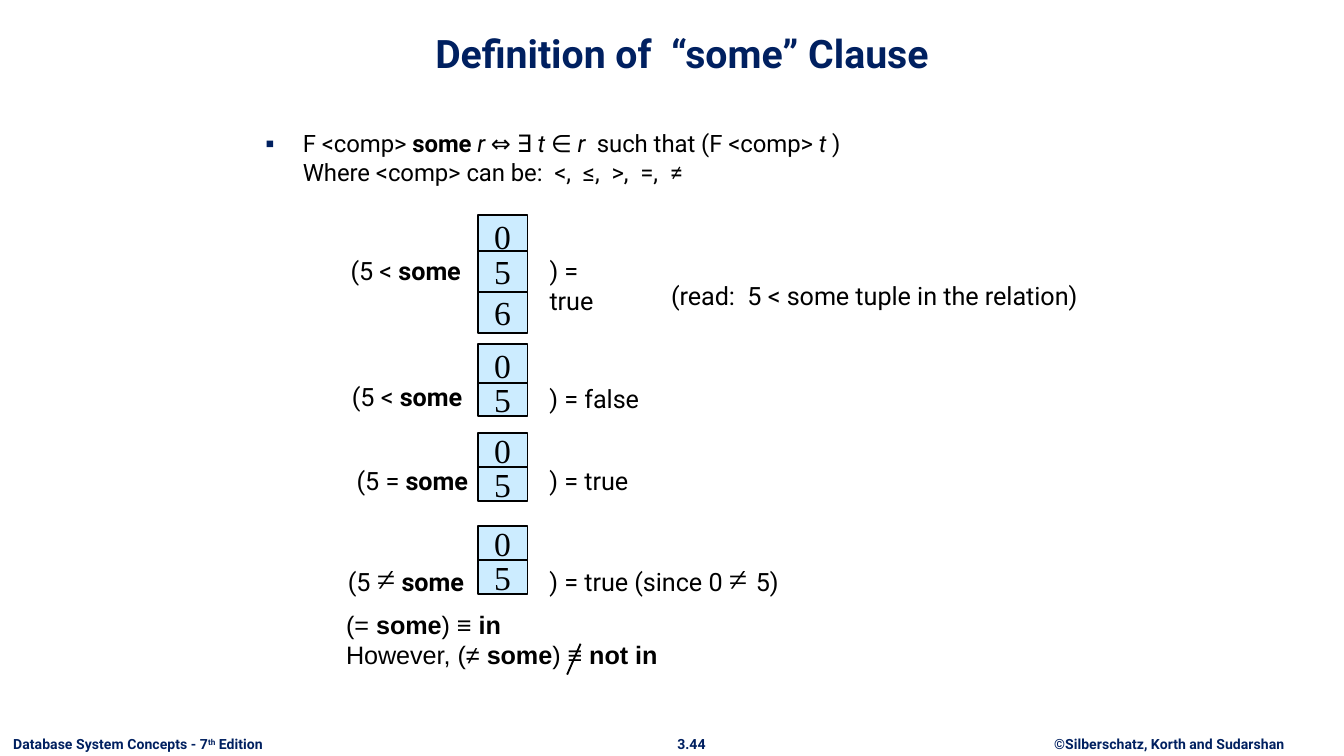
"""Builds the slide that defines the SQL "some" clause."""

from copy import deepcopy

from lxml import etree
from pptx import Presentation
from pptx.dml.color import RGBColor
from pptx.enum.shapes import MSO_CONNECTOR, MSO_SHAPE
from pptx.enum.text import MSO_ANCHOR, MSO_AUTO_SIZE, PP_ALIGN
from pptx.oxml.ns import qn
from pptx.util import Inches, Pt

LEFT, CENTER = PP_ALIGN.LEFT, PP_ALIGN.CENTER
TOP, MIDDLE, BOTTOM = MSO_ANCHOR.TOP, MSO_ANCHOR.MIDDLE, MSO_ANCHOR.BOTTOM
GROW = MSO_AUTO_SIZE.SHAPE_TO_FIT_TEXT
RECTANGLE, STRAIGHT = MSO_SHAPE.RECTANGLE, MSO_CONNECTOR.STRAIGHT

NAVY = RGBColor(0x00, 0x20, 0x60)
BLACK = RGBColor(0x00, 0x00, 0x00)
PALE_BLUE = RGBColor(0xCC, 0xEC, 0xFF)

SANS, SERIF, PLAIN = "Roboto", "Times New Roman", "Arial"
WIDTH = Inches(10)
HEIGHT = WIDTH * 9 // 16
UNIT = WIDTH / 100

TUPLE_LEFT, TUPLE_WIDTH = 35.55, 3.7
RESULT_LEFT = 39.9
FOOTER_TOP, FOOTER_HEIGHT = 54.25, 2.3
LABEL_HEIGHT, SYMBOL_LABEL_HEIGHT = 3.3, 4

RELATIONS = [
    [("0", 16, 3.1), ("5", 18.65, 3.1), ("6", 21.7, 3.1)],
    [("0", 25.6, 3.1), ("5", 28.5, 2.45)],
    [("0", 32.2, 2.55), ("5", 34.75, 2.55)],
    [("0", 39.15, 2.55), ("5", 41.65, 2.55)],
]

SOME = ("some", "b")
LABELS = [
    (25.1, 18.5, 11.1, LABEL_HEIGHT, [("(5 < ", ""), SOME]),
    (RESULT_LEFT, 18.5, 7.5, 5.6, [(") = true", "")]),
    (48.95, 20.4, 40, LABEL_HEIGHT, [("(read:  5 < some tuple in the relation)", "")]),
    (25.2, 27.9, 11.3, LABEL_HEIGHT, [("(5 < ", ""), SOME]),
    (RESULT_LEFT, 28.05, 10, LABEL_HEIGHT, [(") = false", "")]),
    (25.55, 34.15, 12.5, LABEL_HEIGHT, [("(5 = ", ""), SOME]),
    (RESULT_LEFT, 34.15, 10, LABEL_HEIGHT, [(") = true", "")]),
    (24.9, 41.05, 11.9, SYMBOL_LABEL_HEIGHT,
     [("(5 ", ""), ("≠", "symbol"), (" ", ""), SOME]),
    (RESULT_LEFT, 41.05, 20.6, SYMBOL_LABEL_HEIGHT,
     [(") = true (since 0 ", ""), ("≠ ", "symbol"), ("5)", "")]),
]

FOOTERS = [
    (0, 21.8, LEFT, [("Database System Concepts - 7", "b"), ("th", "b super"),
                     (" Edition", "b")]),
    (49.35, 4.2, CENTER, [("3.44", "b")]),
    (76.85, 20.3, CENTER, [("©Silberschatz, Korth and Sudarshan", "b")]),
]

DEFINITION = [
    [("F <comp> ", ""), ("some ", "b"), ("r ", "i"), ("⇔ ∃ ", ""), ("t ", "i"),
     ("∈", ""), (" r  ", "i"), ("such that (F <comp> ", ""), ("t ", "i"), (")", "")],
    [("Where <comp> can be:  <,  ≤,  >,  =,  ≠", "")],
]

EQUIVALENCES = [
    [("(= ", ""), SOME, (") ≡ ", ""), ("in", "b")],
    [("However, (≠ ", ""), SOME, (") ≡ ", ""), ("not in", "b")],
]


def grid(*cells):
    """Turn grid columns or rows into lengths."""
    return [round(cell * UNIT) for cell in cells]


def add_runs(paragraph, pieces, size, face=SANS, color=BLACK):
    """Append styled pieces of text to a paragraph."""
    for words, style in pieces:
        run = paragraph.add_run()
        run.text = words
        marks = style.split()
        run.font.name = SERIF if "symbol" in marks else face
        run.font.size = Pt(18 if "symbol" in marks else size)
        run.font.bold = "b" in marks
        run.font.italic = "i" in marks
        run.font.color.rgb = color
        if "super" in marks:
            run._r.get_or_add_rPr().set("baseline", "30000")


def add_text(slide, area, lines, size, face=SANS, color=BLACK, align=LEFT,
             anchor=TOP, wrap=True, grow=False):
    """Add a text box with one paragraph for each line of pieces."""
    frame = slide.shapes.add_textbox(*grid(*area)).text_frame
    frame.word_wrap = wrap
    frame.vertical_anchor = anchor
    if grow:
        frame.auto_size = GROW
    for index, pieces in enumerate(lines):
        paragraph = frame.add_paragraph() if index else frame.paragraphs[0]
        paragraph.alignment = align
        add_runs(paragraph, pieces, size, face, color)
    return frame


def add_definition(slide, area, lines, size):
    """Add the bulleted definition, its lines parted by a break."""
    paragraph = add_text(slide, area, lines[:1], size).paragraphs[0]
    properties = paragraph._p.get_or_add_pPr()
    indent, = grid(2.8)
    properties.set("marL", str(indent))
    properties.set("indent", str(-indent))
    bullet_color = etree.SubElement(properties, qn("a:buClr"))
    etree.SubElement(bullet_color, qn("a:srgbClr"), val=str(NAVY))
    etree.SubElement(properties, qn("a:buSzPct"), val="110000")
    etree.SubElement(properties, qn("a:buFont"), typeface=PLAIN)
    etree.SubElement(properties, qn("a:buChar"), char="▪")
    for pieces in lines[1:]:
        paragraph.add_line_break()
        line_break = paragraph._p.findall(qn("a:br"))[-1]
        line_break.append(deepcopy(paragraph.runs[0]._r.get_or_add_rPr()))
        add_runs(paragraph, pieces, size)


def add_tuple(slide, value, top, height):
    """Add one boxed value of a relation."""
    box = slide.shapes.add_shape(
        RECTANGLE, *grid(TUPLE_LEFT, top, TUPLE_WIDTH, height))
    box.shadow.inherit = False
    box.fill.solid()
    box.fill.fore_color.rgb = PALE_BLUE
    box.line.color.rgb = BLACK
    box.line.width = Pt(1)
    frame = box.text_frame
    frame.word_wrap = False
    frame.vertical_anchor = MIDDLE
    frame.paragraphs[0].alignment = CENTER
    add_runs(frame.paragraphs[0], [(value, "")], 18, SERIF)


def add_stroke(slide, start, end):
    """Add the stroke that negates the equivalence sign."""
    stroke = slide.shapes.add_connector(STRAIGHT, *grid(*start, *end))
    stroke.line.color.rgb = BLACK
    stroke.line.width = Pt(1)
    etree.SubElement(stroke._element.spPr, qn("a:effectLst"))


def main():
    """Build and save the slide."""
    deck = Presentation()
    deck.slide_width, deck.slide_height = WIDTH, HEIGHT
    slide = deck.slides.add_slide(deck.slide_layouts[6])

    for left, width, align, pieces in FOOTERS:
        add_text(slide, (left, FOOTER_TOP, width, FOOTER_HEIGHT), [pieces], 7.5,
                 color=NAVY, align=align, wrap=False, grow=True)
    add_text(slide, (17.65, 1.2, 66.2, 5), [[("Definition of  “some” Clause", "b")]],
             21, color=NAVY, align=CENTER, anchor=BOTTOM)
    add_definition(slide, (18.75, 9.1, 55.8, 5.9), DEFINITION, 12.75)

    for relation in RELATIONS:
        for value, top, height in relation:
            add_tuple(slide, value, top, height)
    for *area, pieces in LABELS:
        add_text(slide, area, [pieces], 13.5, grow=True)

    equivalences = add_text(slide, (25.05, 44.9, 55.8, 5.9), EQUIVALENCES, 13.5, PLAIN)
    equivalences.margin_left, equivalences.margin_right = grid(0.7, 0.7)
    equivalences.margin_top, equivalences.margin_bottom = grid(0.4, 0.4)
    add_stroke(slide, (43.2, 47.9), (42.2, 50.2))

    deck.save("out.pptx")


if __name__ == "__main__":
    main()
